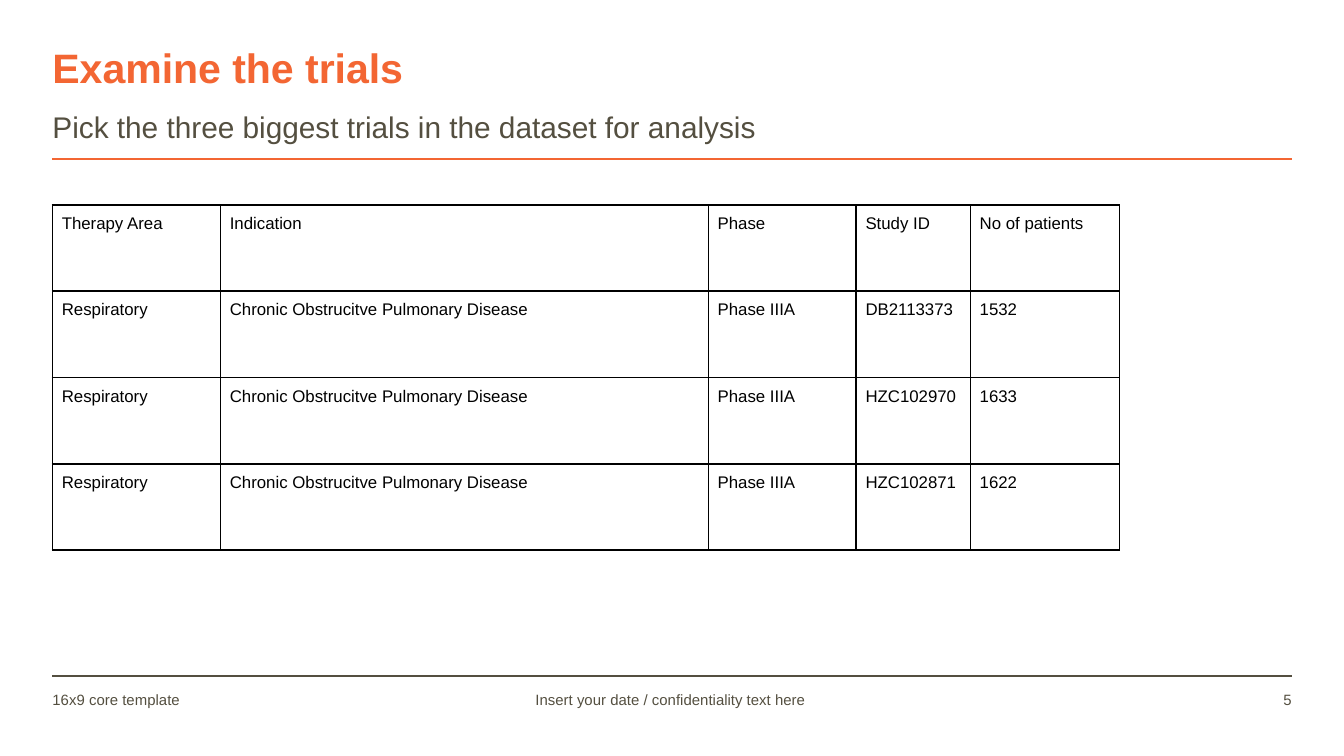
from lxml.etree import SubElement
from pptx import Presentation
from pptx.dml.color import RGBColor
from pptx.enum.shapes import MSO_CONNECTOR
from pptx.enum.text import MSO_ANCHOR, MSO_AUTO_SIZE, PP_ALIGN
from pptx.oxml.ns import qn
from pptx.util import Emu, Pt

ORANGE = RGBColor(0xF3, 0x66, 0x33)
OLIVE = RGBColor(0x54, 0x4F, 0x40)
BLACK = RGBColor(0, 0, 0)
FONT = "Arial"
SCALE = 4572

AREA = ["Respiratory", "Chronic Obstrucitve Pulmonary Disease", "Phase IIIA"]
ROWS = [
    ["Therapy Area", "Indication", "Phase", "Study ID", "No of patients"],
    AREA + ["DB2113373", "1532"],
    AREA + ["HZC102970", "1633"],
    AREA + ["HZC102871", "1622"],
]
COLS = [250, 726, 220, 170, 222]


def px(size):
    """Turn px into EMU."""
    return Emu(size * SCALE)


def place(shape, box):
    """Move a shape to its box."""
    shape.left, shape.top, shape.width, shape.height = map(px, box)


def inset(item, sides):
    """Set the left, top, right and bottom margins."""
    (item.margin_left, item.margin_top,
     item.margin_right, item.margin_bottom) = map(px, sides)


def write(frame, text, size, color, bold=False, align=PP_ALIGN.LEFT):
    """Add one formatted run to the first paragraph."""
    para = frame.paragraphs[0]
    para.alignment = align
    run = para.add_run()
    run.text = text
    font = run.font
    font.name, font.size, font.bold = FONT, Pt(size), bold
    font.color.rgb = color


def label(slide, box, sides, text, size, align=PP_ALIGN.LEFT):
    """Add an olive text box."""
    shape = slide.shapes.add_textbox(*map(px, box))
    frame = shape.text_frame
    frame.word_wrap = True
    inset(frame, sides)
    write(frame, text, size, OLIVE, align=align)


def rule(slide, left, top, width, color):
    """Draw a level line."""
    line = slide.shapes.add_connector(
        MSO_CONNECTOR.STRAIGHT, px(left), px(top), px(left + width), px(top))
    line.line.color.rgb = color
    line.line.width = Pt(1)
    SubElement(line._element.spPr, qn("a:effectLst"))


def header(slide, left, top, width):
    """Fill the title, the subtitle and the rule below them."""
    title = slide.shapes.title
    place(title, (left, top, 1658, 74))
    frame = title.text_frame
    frame.word_wrap = True
    frame.auto_size = MSO_AUTO_SIZE.NONE
    frame.vertical_anchor = MSO_ANCHOR.BOTTOM
    inset(frame, (0, 0, 0, 1))
    write(frame, "Examine the trials", 22, ORANGE, bold=True)
    label(slide, (left, top + 88, 1658, 60), (0, 10, 20, 10),
          "Pick the three biggest trials in the dataset for analysis", 16)
    rule(slide, left, top + 172, width, ORANGE)


def border(cell):
    """Give a cell thin black edges."""
    props = cell._tc.get_or_add_tcPr()
    for side in ("lnL", "lnR", "lnT", "lnB"):
        edge = SubElement(props, qn(f"a:{side}"), w=str(Pt(1)))
        fill = SubElement(edge, qn("a:solidFill"))
        SubElement(fill, qn("a:srgbClr"), val=str(BLACK))


def trials(slide, left, top, height):
    """Build the table of trials."""
    box = (left, top, sum(COLS), height)
    table = slide.shapes.add_table(len(ROWS), len(COLS), *map(px, box)).table
    table.first_row = table.horz_banding = False
    for col, width in zip(table.columns, COLS):
        col.width = px(width)
    for row, texts in zip(table.rows, ROWS):
        for cell, text in zip(row.cells, texts):
            inset(cell, (14, 14, 14, 14))
            border(cell)
            cell.fill.background()
            write(cell.text_frame, text, 9, BLACK)


def footer(slide, left, top, width):
    """Draw the bottom rule and its three labels."""
    rule(slide, left, top, width, OLIVE)
    row = top + 22
    label(slide, (left, row, 562, 60), (0, 0, 0, 0), "16x9 core template", 8)
    label(slide, (left + 574, row, 692, 60), (16, 0, 16, 0),
          "Insert your date / confidentiality text here", 8, PP_ALIGN.CENTER)
    label(slide, (left + width - 182, row, 182, 60), (16, 0, 0, 0),
          "5", 8, PP_ALIGN.RIGHT)


def main():
    """Build and save the slide."""
    deck = Presentation()
    deck.slide_width, deck.slide_height = px(2000), px(1125)
    slide = deck.slides.add_slide(deck.slide_layouts[5])
    header(slide, 78, 64, 1844)
    trials(slide, 78, 305, 514)
    footer(slide, 78, 1006, 1844)
    deck.save("out.pptx")


if __name__ == "__main__":
    main()
